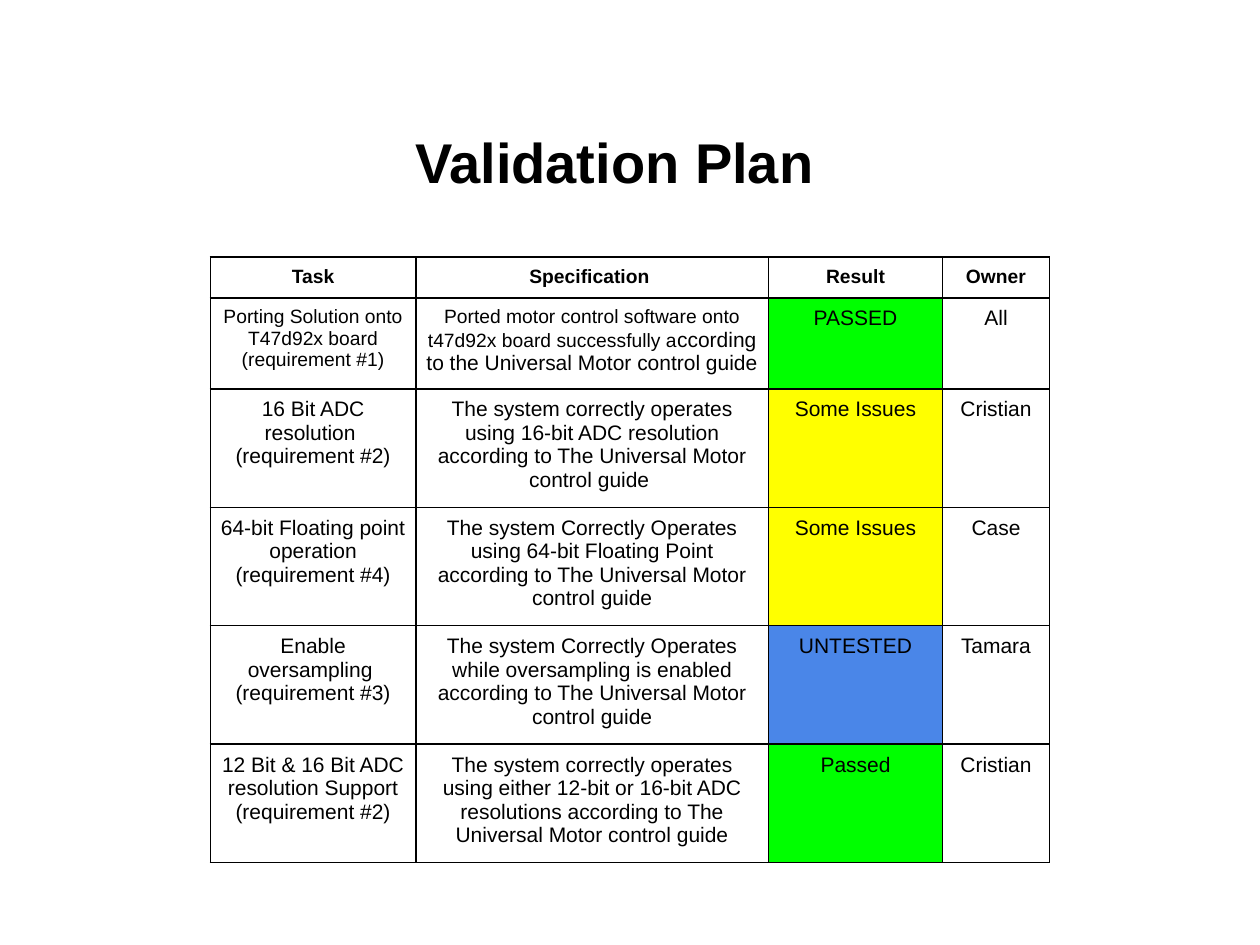
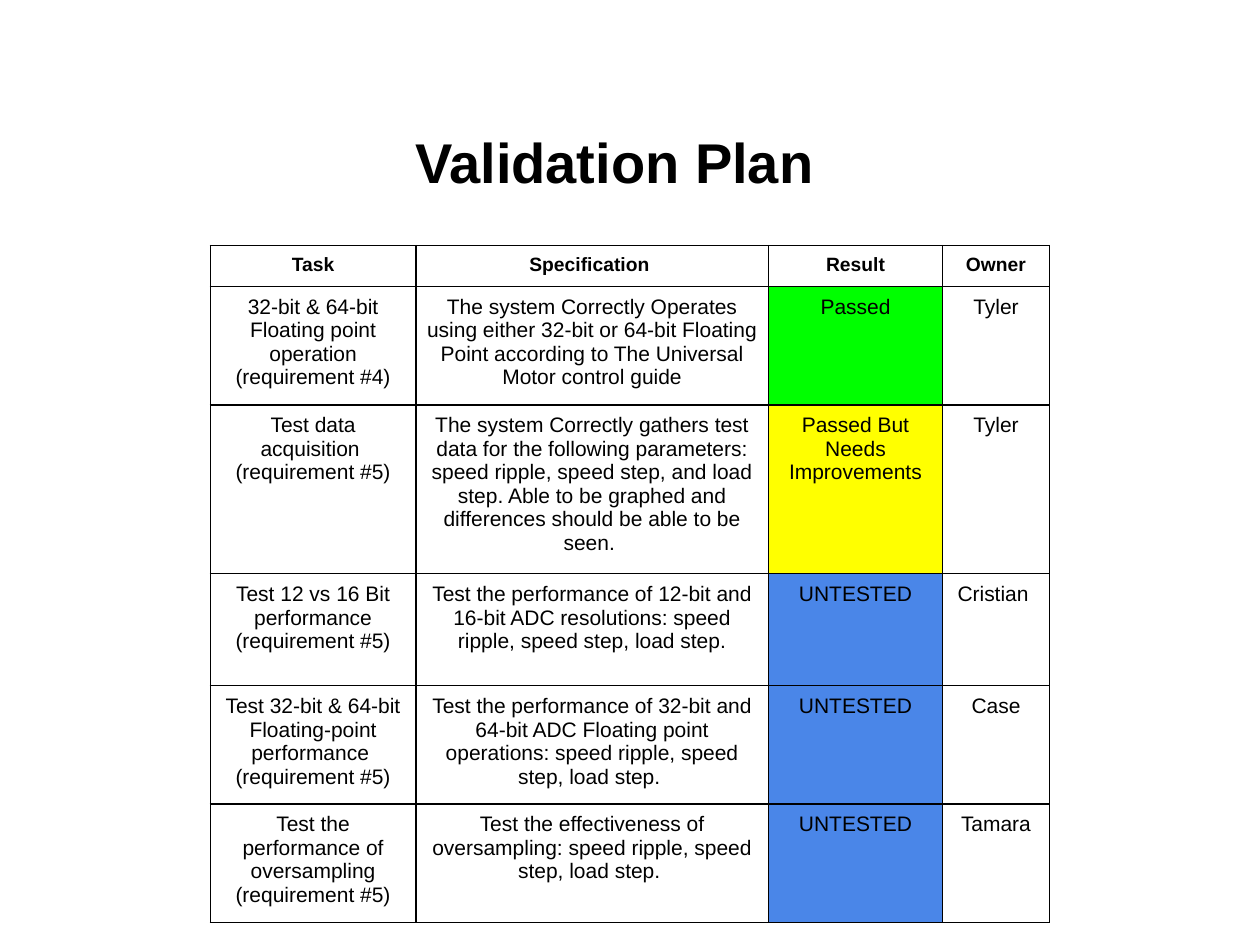
from lxml import etree
from pptx import Presentation
from pptx.dml.color import RGBColor
from pptx.enum import text
from pptx.oxml.ns import qn
from pptx.util import Inches, Pt

HUES = {"ink": "000000", "pass": "00FF00", "issue": "FFFF00", "open": "4A86E8"}
FACE = "Arial"
TITLE = "Validation Plan "
HEADS = ["Task", "Specification ", "Result", "Owner"]
COLS = [1.63, 2.8, 1.38, 0.85]
LEFT, PAD = 1.67, 0.07
HEAD, SHORT, TALL, LONG = 22.4, 49.3, 64, 91

PLANS = [
    (2.04, [
        ("Porting Solution onto T47d92x board", 1,
         [("Ported motor control software onto t47d92x board successfully a", 11),
          ("ccording to the Universal Motor control guide ", 12)],
         "PASSED", "pass", "All", SHORT),
        ("16 Bit ADC resolution ", 2,
         "The system correctly operates using 16-bit ADC resolution according to "
         "The Universal Motor control guide ",
         "Some Issues", "issue", "Cristian", TALL),
        ("64-bit Floating point operation", 4,
         "The system Correctly Operates using 64-bit Floating Point according to "
         "The Universal Motor control guide",
         "Some Issues", "issue", "Case", TALL),
        ("Enable oversampling ", 3,
         "The system Correctly Operates while oversampling is enabled according to "
         "The Universal Motor control guide",
         "UNTESTED", "open", "Tamara", TALL),
        ("12 Bit & 16 Bit ADC resolution Support", 2,
         "The system correctly operates using either 12-bit or 16-bit ADC resolutions "
         "according to The Universal Motor control guide",
         "Passed", "pass", "Cristian", TALL),
    ]),
    (1.95, [
        ("32-bit & 64-bit Floating point operation", 4,
         "The system Correctly Operates using either 32-bit or 64-bit Floating Point "
         "according to The Universal Motor control guide",
         "Passed", "pass", "Tyler", TALL),
        ("Test data acquisition ", 5,
         "The system Correctly gathers test data for the following parameters: "
         "speed ripple, speed step, and load step. Able to be graphed and "
         "differences should be able to be seen. ",
         "Passed But Needs Improvements", "issue", "Tyler", LONG),
        ("Test 12 vs 16 Bit performance", 5,
         "Test the performance of 12-bit and 16-bit ADC resolutions: "
         "speed ripple, speed step, load step.",
         "UNTESTED", "open", "Cristian ", TALL),
        ("Test 32-bit & 64-bit Floating-point performance ", 5,
         "Test the performance of 32-bit and 64-bit ADC Floating point operations: "
         "speed ripple, speed step, load step. ",
         "UNTESTED", "open", "Case", TALL),
        ("Test the performance of oversampling", 5,
         "Test the effectiveness of oversampling: speed ripple, speed step, load step. ",
         "UNTESTED", "open", "Tamara", TALL),
    ]),
]


def style(font, size, bold=False):
    font.name, font.size, font.bold = FACE, Pt(size), bold
    font.color.rgb = RGBColor.from_string(HUES["ink"])


def write(frame, lines, size, bold=False):
    for i, line in enumerate(lines):
        para = frame.paragraphs[0] if i == 0 else frame.add_paragraph()
        para.alignment = text.PP_ALIGN.CENTER
        style(para.font, size, bold)
        runs = [(line, size)] if isinstance(line, str) else line
        for words, pts in runs:
            run = para.add_run()
            run.text = words
            style(run.font, pts, bold)


def edge(cell):
    props = cell._tc.get_or_add_tcPr()
    for side in ("lnL", "lnR", "lnT", "lnB"):
        line = etree.SubElement(props, qn("a:" + side), w=str(Pt(1)))
        fill = etree.SubElement(line, qn("a:solidFill"))
        etree.SubElement(fill, qn("a:srgbClr"), val=HUES["ink"])


def put(cell, lines, size, hue=None, bold=False):
    cell.margin_left = cell.margin_right = Inches(PAD)
    cell.margin_top = cell.margin_bottom = Inches(PAD)
    write(cell.text_frame, lines, size, bold)
    edge(cell)
    if hue:
        cell.fill.solid()
        cell.fill.fore_color.rgb = RGBColor.from_string(HUES[hue])
    else:
        cell.fill.background()


def title(slide):
    box = slide.shapes.add_textbox(Inches(0.44), Inches(0.84), Inches(9), Inches(0.88))
    frame = box.text_frame
    frame.word_wrap = True
    frame.vertical_anchor = text.MSO_ANCHOR.MIDDLE
    write(frame, [TITLE], 32, True)


def plan(slide, top, tasks):
    highs = [HEAD] + [task[-1] for task in tasks]
    grid = slide.shapes.add_table(
        len(highs), len(COLS), Inches(LEFT), Inches(top),
        Inches(sum(COLS)), Pt(sum(highs))).table
    grid.first_row = grid.horz_banding = False
    for col, wide in zip(grid.columns, COLS):
        col.width = Inches(wide)
    for row, high in zip(grid.rows, highs):
        row.height = Pt(high)
    for c, head in enumerate(HEADS):
        put(grid.cell(0, c), [head], 11, bold=True)
    for r, (task, need, goal, result, hue, owner, _) in enumerate(tasks, 1):
        size = 12 if isinstance(goal, str) else 11
        put(grid.cell(r, 0), [task, f"(requirement #{need})"], size)
        put(grid.cell(r, 1), [goal], 12)
        put(grid.cell(r, 2), [result], 12, hue)
        put(grid.cell(r, 3), [owner], 12)


def main():
    deck = Presentation()
    deck.slide_width, deck.slide_height = Inches(10), Inches(7.5)
    for top, tasks in PLANS:
        slide = deck.slides.add_slide(deck.slide_layouts[6])
        title(slide)
        plan(slide, top, tasks)
    deck.save("out.pptx")


if __name__ == "__main__":
    main()
